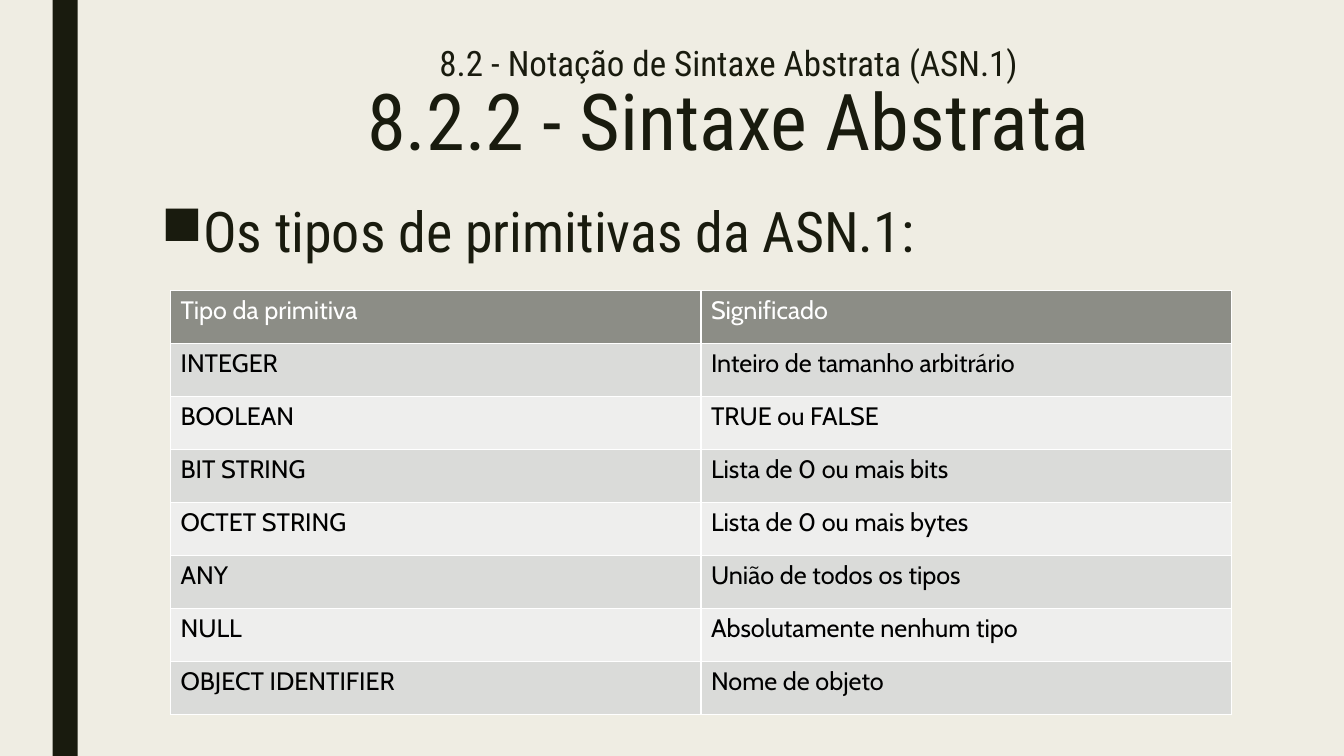
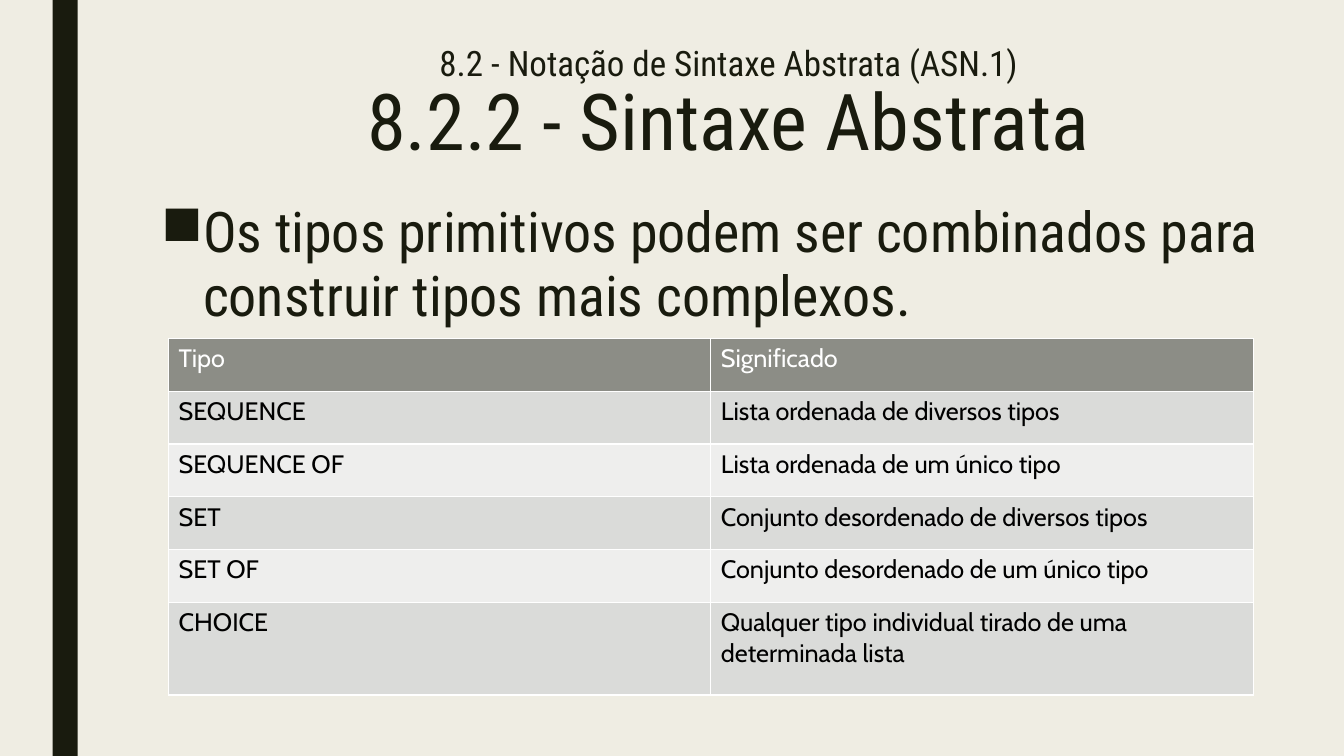
from lxml import etree
from pptx import Presentation
from pptx.dml.color import RGBColor
from pptx.enum.shapes import MSO_SHAPE as Shape
from pptx.enum.text import MSO_ANCHOR as Anchor, PP_ALIGN as Align
from pptx.oxml.ns import qn
from pptx.util import Pt

COLORS = {
    "paper": "EFEDE3",
    "ink": "191B0E",
    "header": "8C8D86",
    "odd_row": "DADBD9",
    "even_row": "EEEEED",
    "white": "FFFFFF",
    "black": "000000",
}
HEADING_FONT = "Roboto Condensed"
TABLE_FONT = "Cabin"
SLIDE_WIDTH, SLIDE_HEIGHT = 960, 540
TEXT_LEFT, TEXT_WIDTH = 108, 825
BULLET_INDENT = 30

CHAPTER = "8.2 - Notação de Sintaxe Abstrata (ASN.1)"
SECTION = "8.2.2 - Sintaxe Abstrata"

PRIMITIVE_TYPES = [
    ("Tipo da primitiva", "Significado"),
    ("INTEGER", "Inteiro de tamanho arbitrário"),
    ("BOOLEAN", "TRUE ou FALSE"),
    ("BIT STRING", "Lista de 0 ou mais bits"),
    ("OCTET STRING", "Lista de 0 ou mais bytes"),
    ("ANY", "União de todos os tipos"),
    ("NULL", "Absolutamente nenhum tipo"),
    ("OBJECT IDENTIFIER", "Nome de objeto"),
]
COMBINED_TYPES = [
    ("Tipo", "Significado"),
    ("SEQUENCE", "Lista ordenada de diversos tipos"),
    ("SEQUENCE OF", "Lista ordenada de um único tipo"),
    ("SET", "Conjunto desordenado de diversos tipos"),
    ("SET OF", "Conjunto desordenado de um único tipo"),
    ("CHOICE", "Qualquer tipo individual tirado de uma determinada lista"),
]


def color(name):
    return RGBColor.from_string(COLORS[name])


def set_font(font, name, color_name, size=None):
    font.name = name
    font.color.rgb = color(color_name)
    if size:
        font.size = Pt(size)


def add_side_bar(slide):
    bar = slide.shapes.add_shape(Shape.RECTANGLE, Pt(37.5), 0, Pt(18), Pt(SLIDE_HEIGHT))
    bar.shadow.inherit = False
    bar.fill.solid()
    bar.fill.fore_color.rgb = color("ink")
    bar.line.fill.background()


def add_text_frame(slide, top, height, anchor):
    box = slide.shapes.add_textbox(Pt(TEXT_LEFT), Pt(top), Pt(TEXT_WIDTH), Pt(height))
    frame = box.text_frame
    frame.word_wrap = True
    frame.vertical_anchor = anchor
    return frame


def add_title(slide):
    title = add_text_frame(slide, 29.5, 93.6, Anchor.MIDDLE).paragraphs[0]
    title.alignment = Align.CENTER
    title.line_spacing = 0.89
    set_font(title.font, HEADING_FONT, "ink")
    chapter = title.add_run()
    chapter.text = CHAPTER
    chapter.font.size = Pt(25)
    title.add_line_break()
    section = title.add_run()
    section.text = SECTION
    section.font.size = Pt(56)


def add_bullet(slide, text, height):
    statement = add_text_frame(slide, 141.1, height, Anchor.TOP).paragraphs[0]
    statement.text = text
    statement.line_spacing = 0.94
    statement.space_before, statement.space_after = Pt(10), Pt(2)
    set_font(statement.font, HEADING_FONT, "ink", 40)
    properties = statement._p.get_or_add_pPr()
    properties.set("marL", str(Pt(BULLET_INDENT)))
    properties.set("indent", str(-Pt(BULLET_INDENT)))
    bullet = etree.Element(qn("a:buChar"), char="■")
    properties.find(qn("a:spcAft")).addnext(bullet)


def set_borders(cell):
    """Draw thin white lines on all four sides; they precede the cell's fill."""
    properties = cell._tc.get_or_add_tcPr()
    for position, side in enumerate(("a:lnL", "a:lnR", "a:lnT", "a:lnB")):
        line = etree.Element(qn(side), w=str(Pt(1)))
        fill = etree.SubElement(line, qn("a:solidFill"))
        etree.SubElement(fill, qn("a:srgbClr"), val=COLORS["white"])
        properties.insert(position, line)


def fill_cell(cell, text, row):
    cell.fill.solid()
    fill_name = "header" if row == 0 else "odd_row" if row % 2 else "even_row"
    cell.fill.fore_color.rgb = color(fill_name)
    paragraph = cell.text_frame.paragraphs[0]
    paragraph.text = text
    set_font(paragraph.font, TABLE_FONT, "black" if row else "white", 18)
    set_borders(cell)


def add_type_table(slide, entries, left, top, column_width, row_heights):
    table = slide.shapes.add_table(
        len(entries), 2, Pt(left), Pt(top), Pt(2 * column_width), Pt(sum(row_heights))
    ).table
    for column in table.columns:
        column.width = Pt(column_width)
    for row, (entry, height) in enumerate(zip(entries, row_heights)):
        table.rows[row].height = Pt(height)
        for column, text in enumerate(entry):
            fill_cell(table.cell(row, column), text, row)


def add_content_slide(prs, statement, statement_height):
    slide = prs.slides.add_slide(prs.slide_layouts[6])
    add_side_bar(slide)
    add_title(slide)
    add_bullet(slide, statement, statement_height)
    return slide


def main():
    prs = Presentation()
    prs.slide_width, prs.slide_height = Pt(SLIDE_WIDTH), Pt(SLIDE_HEIGHT)
    background = prs.slide_master.background.fill
    background.solid()
    background.fore_color.rgb = color("paper")

    primitives = add_content_slide(prs, "Os tipos de primitivas da ASN.1:", 57.6)
    add_type_table(primitives, PRIMITIVE_TYPES, 121.8, 207.5, 378.9, [37.85] * 8)

    combined = add_content_slide(
        prs,
        "Os tipos primitivos podem ser combinados para construir tipos mais complexos.",
        93.6,
    )
    add_type_table(combined, COMBINED_TYPES, 120.4, 241.8, 387.4, [37.7] * 5 + [66.3])

    prs.save("out.pptx")


if __name__ == "__main__":
    main()
